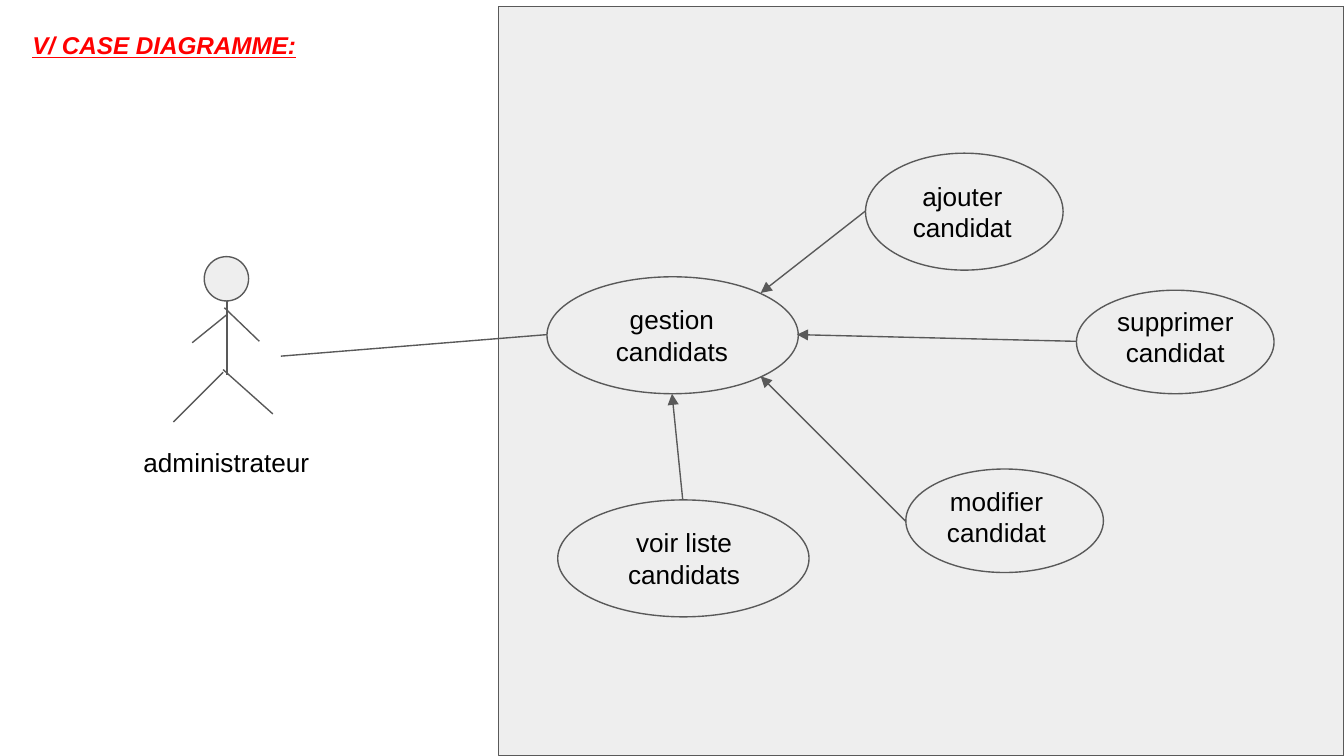
from pptx import Presentation
from pptx.dml.color import RGBColor
from pptx.enum.shapes import MSO_CONNECTOR, MSO_SHAPE
from pptx.enum.text import MSO_ANCHOR, PP_ALIGN
from pptx.oxml.ns import qn
from pptx.util import Inches, Pt
from lxml import etree

COLORS = {"panel": "EEEEEE", "line": "595959", "text": "000000", "title": "FF0000"}

prs = Presentation()
prs.slide_width = Inches(10)
prs.slide_height = Inches(10) * 9 // 16
s = prs.slides.add_slide(prs.slide_layouts[5])


def add_outlined(kind, x, y, w, h):
    sp = s.shapes.add_shape(kind, Inches(x), Inches(y), Inches(w), Inches(h))
    sp.shadow.inherit = False
    sp.fill.solid()
    sp.fill.fore_color.rgb = RGBColor.from_string(COLORS["panel"])
    sp.line.color.rgb = RGBColor.from_string(COLORS["line"])
    sp.line.width = Pt(0.75)


def set_text(sp, text, size, color):
    tf = sp.text_frame
    tf.word_wrap = True
    tf.vertical_anchor = MSO_ANCHOR.TOP
    tf.margin_left = tf.margin_right = tf.margin_top = tf.margin_bottom = Inches(0.1)
    p = tf.paragraphs[0]
    p.text = text
    p.alignment = PP_ALIGN.CENTER
    p.font.name = "Arial"
    p.font.size = Pt(size)
    p.font.color.rgb = RGBColor.from_string(COLORS[color])
    return p


title = s.shapes.title
title.left, title.top = Inches(0.07), Inches(0.05)
title.width, title.height = Inches(3.42), Inches(0.42)
p = set_text(title, "V/ CASE DIAGRAMME:", 13, "title")
p.alignment = PP_ALIGN.LEFT
p.line_spacing = 1.36
p.space_before = Pt(13)
p.font.bold = p.font.italic = p.font.underline = True
pPr = p._p.get_or_add_pPr()
pPr.set("marL", str(Inches(0.07)))
pPr.set("indent", "0")

add_outlined(MSO_SHAPE.RECTANGLE, 3.71, 0.05, 6.29, 5.57)
add_outlined(MSO_SHAPE.OVAL, 1.52, 1.91, 0.33, 0.33)

use_cases = [
    (4.07, 2.06, 1.87, 0.87),
    (6.44, 1.14, 1.47, 0.87),
    (8.01, 2.16, 1.47, 0.77),
    (6.74, 3.49, 1.47, 0.77),
    (4.15, 3.72, 1.87, 0.87),
]
for box in use_cases:
    add_outlined(MSO_SHAPE.OVAL, *box)

labels = [
    ("administrateur", 0.32, 3.22, 2.73, 0.44),
    ("gestion candidats", 4.41, 2.16, 1.18, 0.67),
    ("ajouter candidat", 6.57, 1.24, 1.18, 0.67),
    ("supprimer candidat", 8.04, 2.17, 1.41, 0.67),
    ("modifier candidat", 6.71, 3.51, 1.41, 0.67),
    ("voir liste candidats", 4.5, 3.82, 1.18, 0.67),
]
for text, x, y, w, h in labels:
    tb = s.shapes.add_textbox(Inches(x), Inches(y), Inches(w), Inches(h))
    set_text(tb, text, 14, "text")

body = [
    (1.69, 2.24, 1.69, 2.79),
    (1.69, 2.34, 1.43, 2.55),
    (1.67, 2.29, 1.93, 2.54),
    (1.66, 2.77, 1.29, 3.14),
    (1.66, 2.75, 2.03, 3.08),
]
association = [(2.09, 2.65, 4.07, 2.49)]
arrows = [
    (6.44, 1.57, 5.66, 2.18),
    (8.01, 2.54, 5.93, 2.49),
    (6.74, 3.88, 5.66, 2.8),
    (5.08, 3.72, 5, 2.93),
]
for ends in body + association + arrows:
    line = s.shapes.add_connector(MSO_CONNECTOR.STRAIGHT, *[Inches(v) for v in ends])
    line.line.color.rgb = RGBColor.from_string(COLORS["line"])
    line.line.width = Pt(0.75)
    if ends in arrows:
        ln = line._element.spPr.find(qn("a:ln"))
        etree.SubElement(ln, qn("a:tailEnd"), type="triangle")
    etree.SubElement(line._element.spPr, qn("a:effectLst"))

prs.save("out.pptx")
